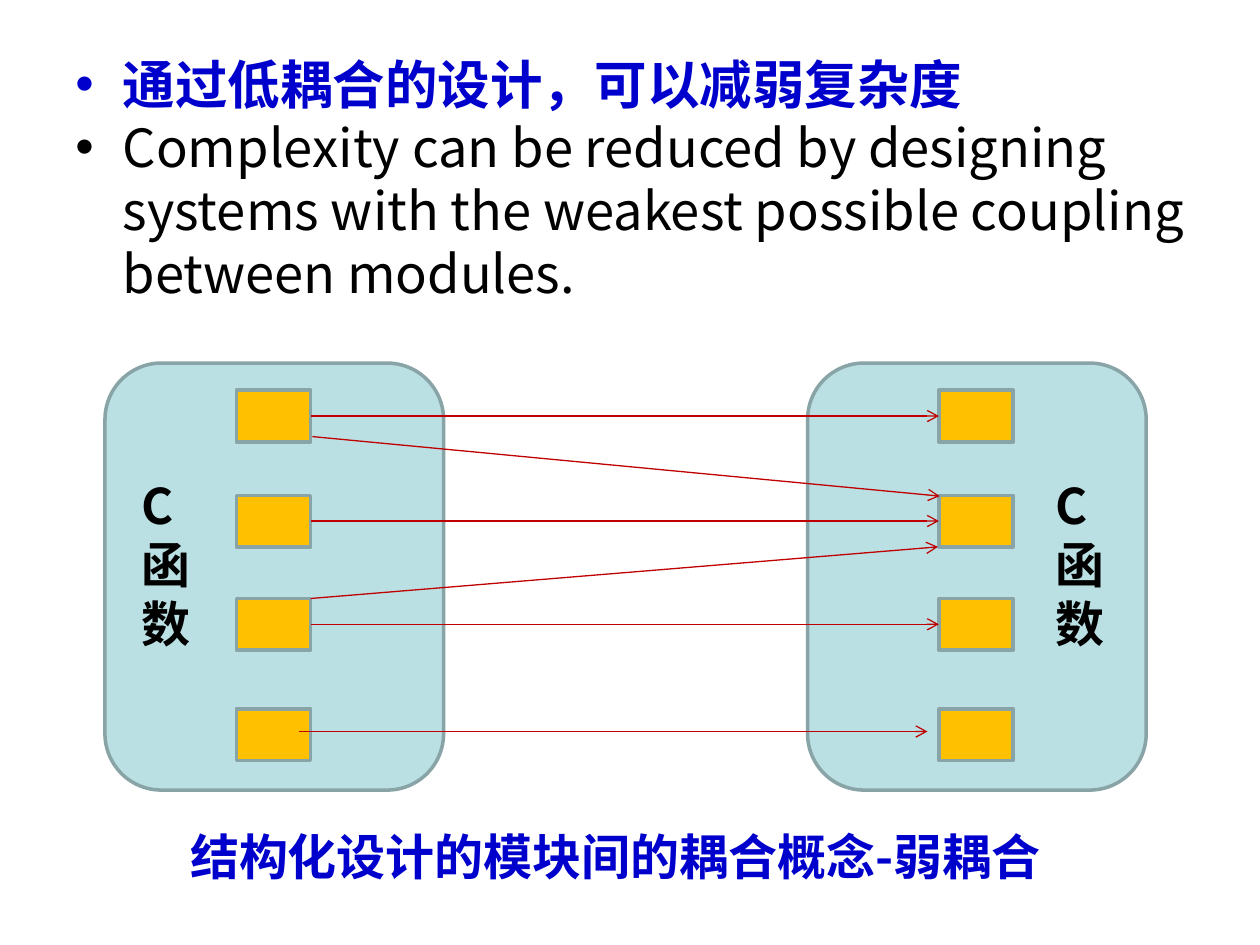
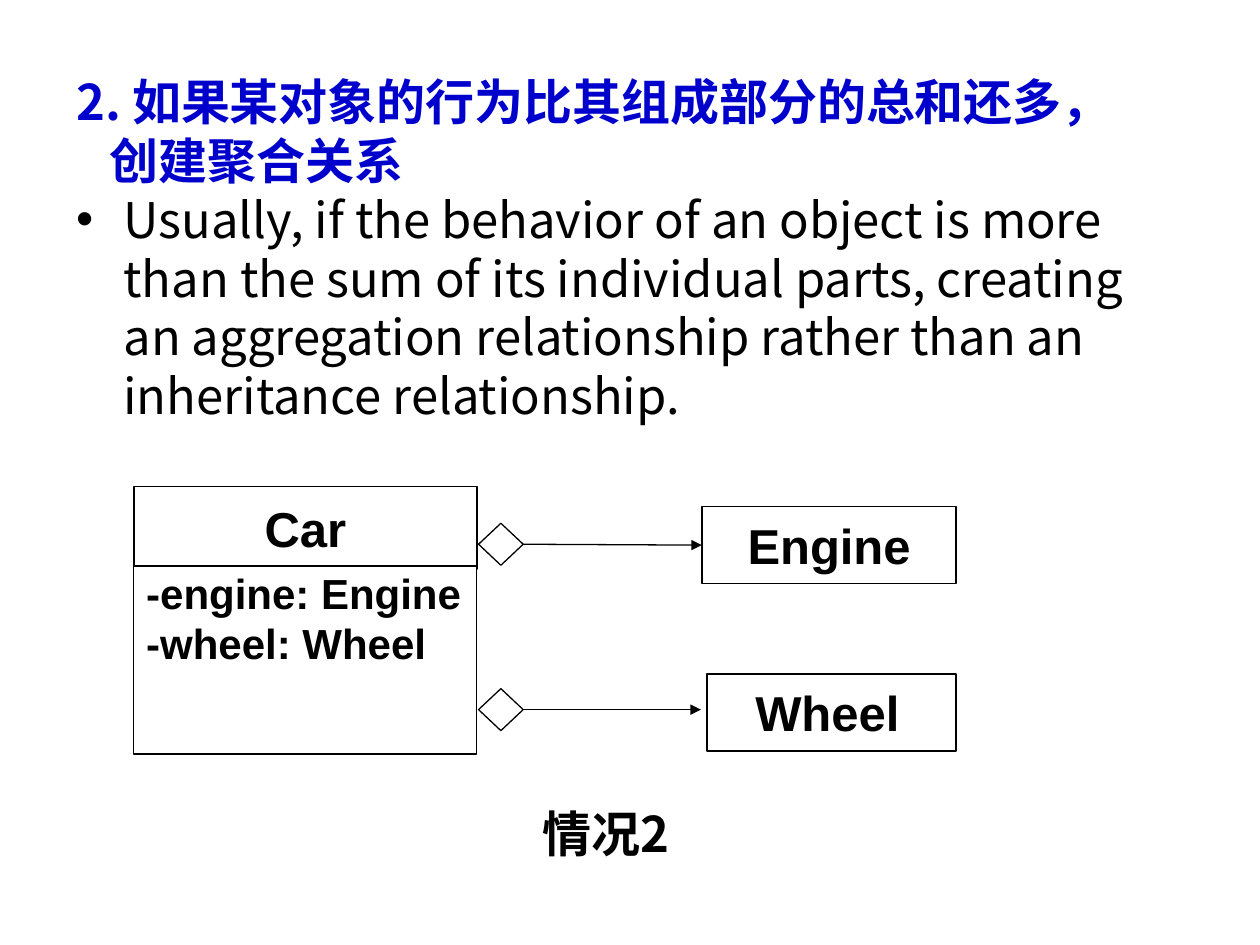
import pptx
import pptx.util
import pptx.dml.color
import pptx.enum.shapes
import pptx.enum.text
import pptx.oxml
from pptx.oxml.ns import qn

Pt = pptx.util.Pt
SHAPE = pptx.enum.shapes.MSO_SHAPE
ALIGN = pptx.enum.text.PP_ALIGN
ANCHOR = pptx.enum.text.MSO_ANCHOR

CJK, LATIN = "Noto Sans CJK SC", "Arial"
BLUE, BLACK, WHITE = "0000CC", "000000", "FFFFFF"
PANEL, PANEL_EDGE, MODULE, CALL = "BBE0E3", "89A4A7", "FFC000", "C00000"
HANG = 27


def color(value):
    return pptx.dml.color.RGBColor.from_string(value)


def set_attrs(obj, values):
    for name, value in values.items():
        setattr(obj, name, value)


def write(tf, lines, size, font=CJK, fill=BLACK, bold=True, align=ALIGN.LEFT,
          insets=(7.2, 3.6, 7.2, 3.6), **frame):
    """Each line is a string or a dict with text and its own format."""
    sides = ("margin_left", "margin_top", "margin_right", "margin_bottom")
    set_attrs(tf, {"word_wrap": True, **dict(zip(sides, map(Pt, insets))), **frame})
    for i, line in enumerate(lines):
        line = line if isinstance(line, dict) else {"text": line}
        p = tf.paragraphs[0] if i == 0 else tf.add_paragraph()
        p.alignment = align
        if font == CJK:
            p.line_spacing = Pt(size * 1.2)
        pPr = p._p.get_or_add_pPr()
        margin, indent = line.get("indent", (0, 0))
        pPr.set("marL", str(Pt(margin)))
        pPr.set("indent", str(Pt(indent)))
        if line.get("bullet"):
            pPr.append(pptx.oxml.parse_xml(
                '<a:buFont xmlns:a="http://schemas.openxmlformats.org/drawingml/2006/main"'
                ' typeface="Arial"/>'))
            pPr.makeelement(qn("a:buChar"))
            bullet = pPr.makeelement(qn("a:buChar"), {"char": "•"})
            pPr.append(bullet)
        r = p.add_run()
        r.text = line["text"]
        r.font.color.rgb = color(line.get("fill", fill))
        set_attrs(r.font, {"size": Pt(size), "name": font, "bold": line.get("bold", bold)})
        rPr = r._r.get_or_add_rPr()
        rPr.append(rPr.makeelement(qn("a:ea"), {"typeface": font}))


def add_text(s, box, lines, size, **style):
    tb = s.shapes.add_textbox(*map(Pt, box))
    write(tb.text_frame, lines, size, **style)


def add_block(s, kind, box, fill, edge, width):
    sp = s.shapes.add_shape(kind, *map(Pt, box))
    sp.shadow.inherit = False
    sp.fill.solid()
    sp.fill.fore_color.rgb = color(fill)
    sp.line.color.rgb = color(edge)
    sp.line.width = Pt(width)
    return sp


def add_arrow(s, start, end, line, head):
    """Ends are points, or (shape, site) pairs to join."""
    joined = [not isinstance(e[0], (int, float)) for e in (start, end)]
    xy = [0 if j else Pt(v) for j, e in zip(joined, (start, end)) for v in
          ((0, 0) if j else e)]
    c = s.shapes.add_connector(pptx.enum.shapes.MSO_CONNECTOR.STRAIGHT, *xy)
    if joined[0]:
        c.begin_connect(*start)
    if joined[1]:
        c.end_connect(*end)
    c.line.color.rgb = color(line)
    c.line.width = Pt(0.75)
    ln = c.line._get_or_add_ln()
    ln.append(ln.makeelement(qn("a:tailEnd"), {"type": head}))
    spPr = c._element.spPr
    spPr.append(spPr.makeelement(qn("a:effectLst")))


def module_panel(s, box):
    """Rounded panel with four modules; returns the modules."""
    left, top = box[:2]
    add_block(s, SHAPE.ROUNDED_RECTANGLE, box, PANEL, PANEL_EDGE, 2)
    return [add_block(s, SHAPE.RECTANGLE, (left + 75, top + y, 42.5, 29.5),
                      MODULE, PANEL_EDGE, 2) for y in (15.5, 75.5, 134.5, 197.5)]


def coupling_diagram(s, box):
    left, top, width, height = box
    panel_w = 193.5
    right = left + width - panel_w
    callers = module_panel(s, (left, top, panel_w, height))
    callees = module_panel(s, (right, top, panel_w, height))
    # Calls between modules on the same row
    for caller, callee in list(zip(callers, callees))[:3]:
        add_arrow(s, (caller, 3), (callee, 1), CALL, "arrow")
    # Last row and the two slanted calls
    for x1, y1, x2, y2 in ((111, 210.5, 470, 210.5), (118.5, 42, 477, 76),
                           (117.5, 134.5, 476, 105)):
        add_arrow(s, (left + x1, top + y1), (left + x2, top + y2), CALL, "arrow")
    for x in (left + 13.5, right + 134.5):
        add_text(s, (x, top + 61, 42.5, 108), ["C", "函", "数"], 28, word_wrap=False)


def class_box(s, box, name, insets=(0, 2, 0, 2)):
    sp = add_block(s, SHAPE.RECTANGLE, box, WHITE, BLACK, 1)
    write(sp.text_frame, [name], 28, font=LATIN, align=ALIGN.CENTER, insets=insets,
          vertical_anchor=ANCHOR.MIDDLE)
    return sp


def aggregation_diagram(s, box):
    left, top, width, height = box
    car_w = 196
    class_box(s, (left, top, car_w, 47), "Car")
    engine = class_box(s, (left + 324.5, top + 11.5, width - 324.5, 44), "Engine")
    class_box(s, (left + 327.5, top + 107, width - 327.5, 44), "Wheel",
              insets=(0, 2, 5, 2))
    # Aggregation links
    for y, end in ((21, (engine, 1)), (115.5, (left + 324, top + 127.5))):
        diamond = add_block(s, SHAPE.DIAMOND, (left + car_w + 1, top + y, 25.5, 24),
                            WHITE, BLACK, 0.75)
        add_arrow(s, (diamond, 3), end, BLACK, "triangle")
    # Attributes of the car
    fields = add_block(s, SHAPE.RECTANGLE, (left, top + 45.5, car_w, height - 45.5),
                       WHITE, BLACK, 0.75)
    write(fields.text_frame, ["-engine: Engine", "-wheel: Wheel"], 24, font=LATIN,
          align=ALIGN.JUSTIFY, insets=(7.2, 0.7, 7.2, 0.7), vertical_anchor=ANCHOR.TOP)


def point(text, **style):
    return {"text": text, "bullet": True, "indent": (HANG, -HANG), **style}


def coupling_slide(s):
    add_text(s, (36, 26, 648, 155.5), [
        point("通过低耦合的设计，可以减弱复杂度", fill=BLUE),
        point("Complexity can be reduced by designing systems with the weakest "
              "possible coupling between modules.", bold=False)], 30)
    add_text(s, (93.5, 468.5, 516, 41), ["结构化设计的模块间的耦合概念-弱耦合"], 28,
             fill=BLUE, align=ALIGN.CENTER)
    coupling_diagram(s, (60, 207.5, 595, 244))


def aggregation_slide(s):
    add_text(s, (36.5, 37.5, 648, 215), [
        {"text": "2. 如果某对象的行为比其组成部分的总和还多，", "fill": BLUE,
         "indent": (HANG, -HANG)},
        {"text": "创建聚合关系", "fill": BLUE, "indent": (19, 0)},
        point("Usually, if the behavior of an object is more than the sum of its "
              "individual parts, creating an aggregation relationship rather than "
              "an inheritance relationship.", bold=False)], 28)
    add_text(s, (303, 455.5, 96.5, 41), ["情况2"], 28)
    aggregation_diagram(s, (76.5, 278, 470, 153))


def main():
    prs = pptx.Presentation()
    prs.slide_width, prs.slide_height = Pt(720), Pt(540)
    for build in (coupling_slide, aggregation_slide):
        build(prs.slides.add_slide(prs.slide_layouts[6]))
    prs.save("out.pptx")


if __name__ == "__main__":
    main()
